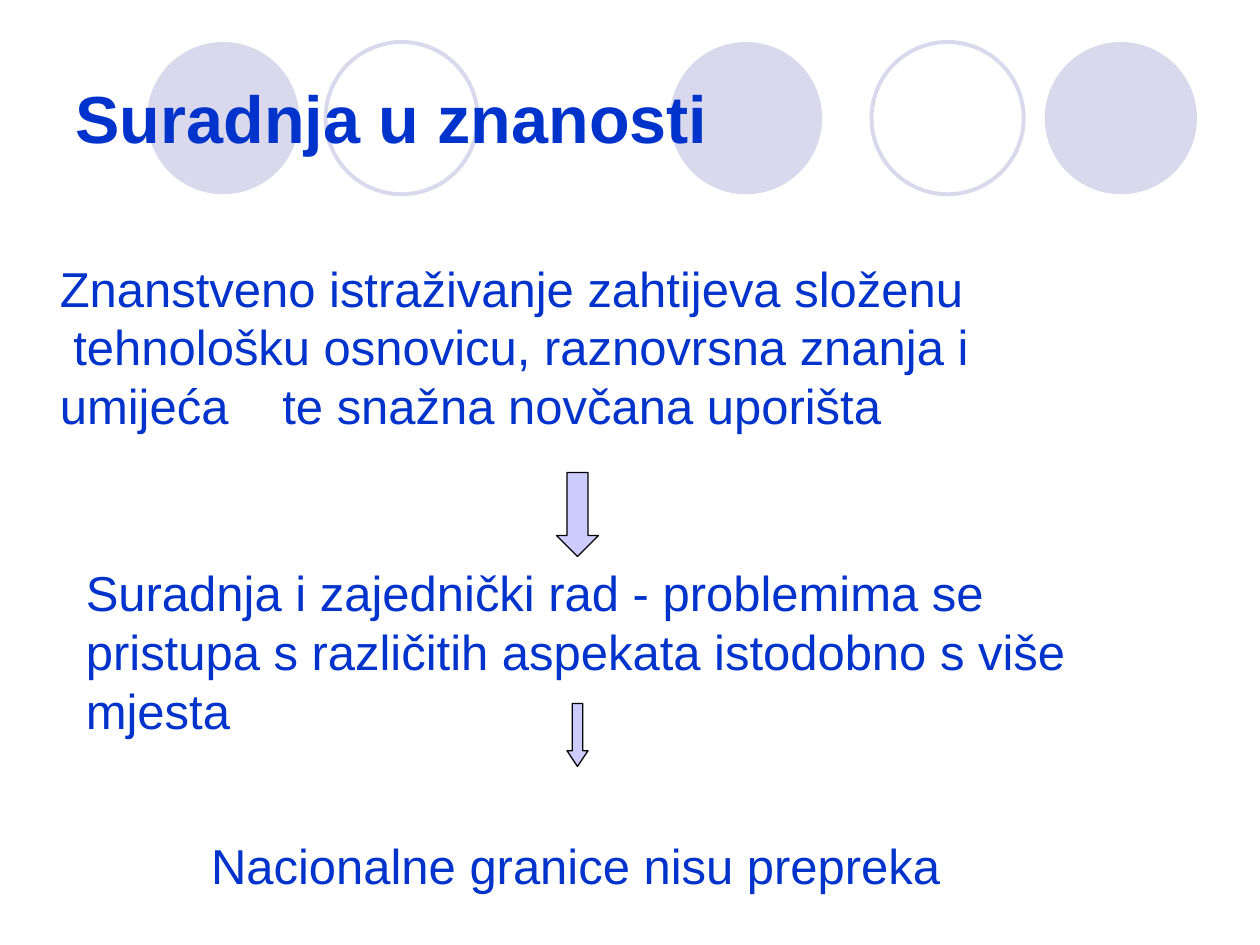
from lxml import etree
from pptx import Presentation
from pptx import util as u
from pptx.dml.color import RGBColor
from pptx.enum import shapes, text
from pptx.oxml import ns

BLUE = RGBColor(0x00, 0x33, 0xCC)
LILAC = RGBColor(0xD9, 0xD8, 0xEC)
ARROW = RGBColor(0xCC, 0xCC, 0xFF)
BLACK = RGBColor(0, 0, 0)
FONT = "Arial"
CELL = u.Inches(1) / 12
LEADING = 1.2


def grid(*cells):
    """Turn counts of grid cells (twelve to the inch) into lengths."""
    return [u.Emu(round(n * CELL)) for n in cells]


def add_child(parent, tag, **attrs):
    """Append a DrawingML element with the given attributes."""
    return etree.SubElement(parent, ns.qn(tag), **attrs)


def write(tf, lines, size, bold=False, shadow=False):
    """Write lines into a frame as one paragraph, one run per line."""
    tf.word_wrap = True
    p = tf.paragraphs[0]
    p.alignment = text.PP_ALIGN.LEFT
    p.line_spacing = u.Pt(size * LEADING)
    for i, line in enumerate(lines):
        if i:
            p.add_line_break()
        r = p.add_run()
        r.text = line
        r.font.name, r.font.size, r.font.bold = FONT, u.Pt(size), bold
        r.font.color.rgb = BLUE
        if shadow:
            effects = etree.Element(ns.qn("a:effectLst"))
            outer = add_child(effects, "a:outerShdw", dist="38100", dir="2700000")
            add_child(outer, "a:srgbClr", val="808080")
            r.font.fill._xPr.find(ns.qn("a:solidFill")).addnext(effects)
    return p


def add_preset(s, kind, box, fill=None, line=None, width=0.75):
    """Add a flat preset shape with an optional fill and outline."""
    sp = s.shapes.add_shape(kind, *grid(*box))
    sp.shadow.inherit = False
    if fill is None:
        sp.fill.background()
    else:
        sp.fill.solid()
        sp.fill.fore_color.rgb = fill
    if line is None:
        sp.line.fill.background()
    else:
        sp.line.color.rgb = line
        sp.line.width = u.Pt(width)
    return sp


def add_circles(s, top, size):
    """Draw the row of filled and open circles behind the title."""
    oval = shapes.MSO_SHAPE.OVAL
    for left in (63.8, 99.5, 14):
        add_preset(s, oval, (left, top, size, size), fill=LILAC)
    for left in (83, 31):
        add_preset(s, oval, (left, top, size, size), line=LILAC, width=2.25)


def add_title(s, box, title):
    """Place the title placeholder in front of the circles."""
    sp = s.shapes.title
    sp.left, sp.top, sp.width, sp.height = grid(*box)
    sp.text_frame.vertical_anchor = text.MSO_ANCHOR.MIDDLE
    write(sp.text_frame, [title], 38, bold=True)
    s.shapes._spTree.append(sp._element)


def add_statement(s, box, lines, inset=1.2, tab=None, shadow=False):
    """Add one statement, inset from the left of its box."""
    tf = s.shapes.add_textbox(*grid(*box)).text_frame
    tf.margin_left = grid(inset)[0]
    p = write(tf, lines, 28, shadow=shadow)
    if tab:
        tabs = add_child(p._p.get_or_add_pPr(), "a:tabLst")
        add_child(tabs, "a:tab", pos=str(grid(tab)[0]), algn="l")


def add_arrow(s, box, head):
    """Add a down arrow whose head length is a share of its width."""
    sp = add_preset(s, shapes.MSO_SHAPE.DOWN_ARROW, box, fill=ARROW, line=BLACK)
    sp.adjustments[0], sp.adjustments[1] = 0.5, head


def main():
    """Build the slide and save it."""
    prs = Presentation()
    prs.slide_width, prs.slide_height = grid(120, 90)
    s = prs.slides.add_slide(prs.slide_layouts[5])
    add_circles(s, 4, 14.5)
    add_title(s, (6, 3.6, 108, 15), "Suradnja u znanosti")
    add_statement(s, (0, 24, 102, 54), [
        "Znanstveno istraživanje zahtijeva složenu",
        " tehnološku osnovicu, raznovrsna znanja i umijeća\tte snažna novčana uporišta",
    ], inset=5.7, tab=21.2)
    add_arrow(s, (53, 45, 4, 8), 0.5)
    add_statement(s, (7, 53, 102, 18), [
        "Suradnja i zajednički rad - problemima se pristupa "
        "s različitih aspekata istodobno s više mjesta",
    ])
    add_arrow(s, (54, 67, 2, 6), 0.75)
    add_statement(s, (11, 79, 94, 6.8), ["Nacionalne granice nisu prepreka"],
                  inset=9.1, shadow=True)
    prs.save("out.pptx")


if __name__ == "__main__":
    main()
